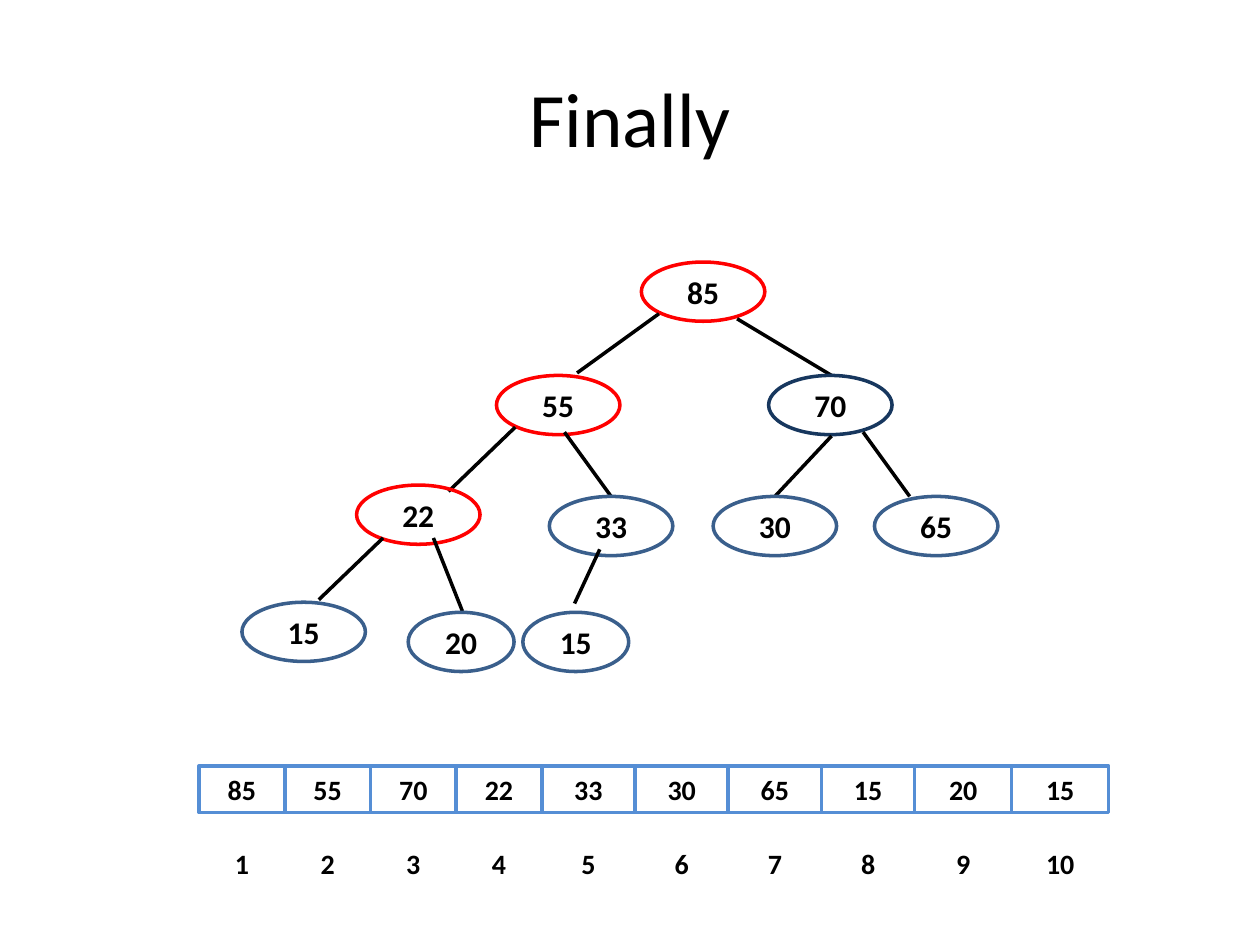
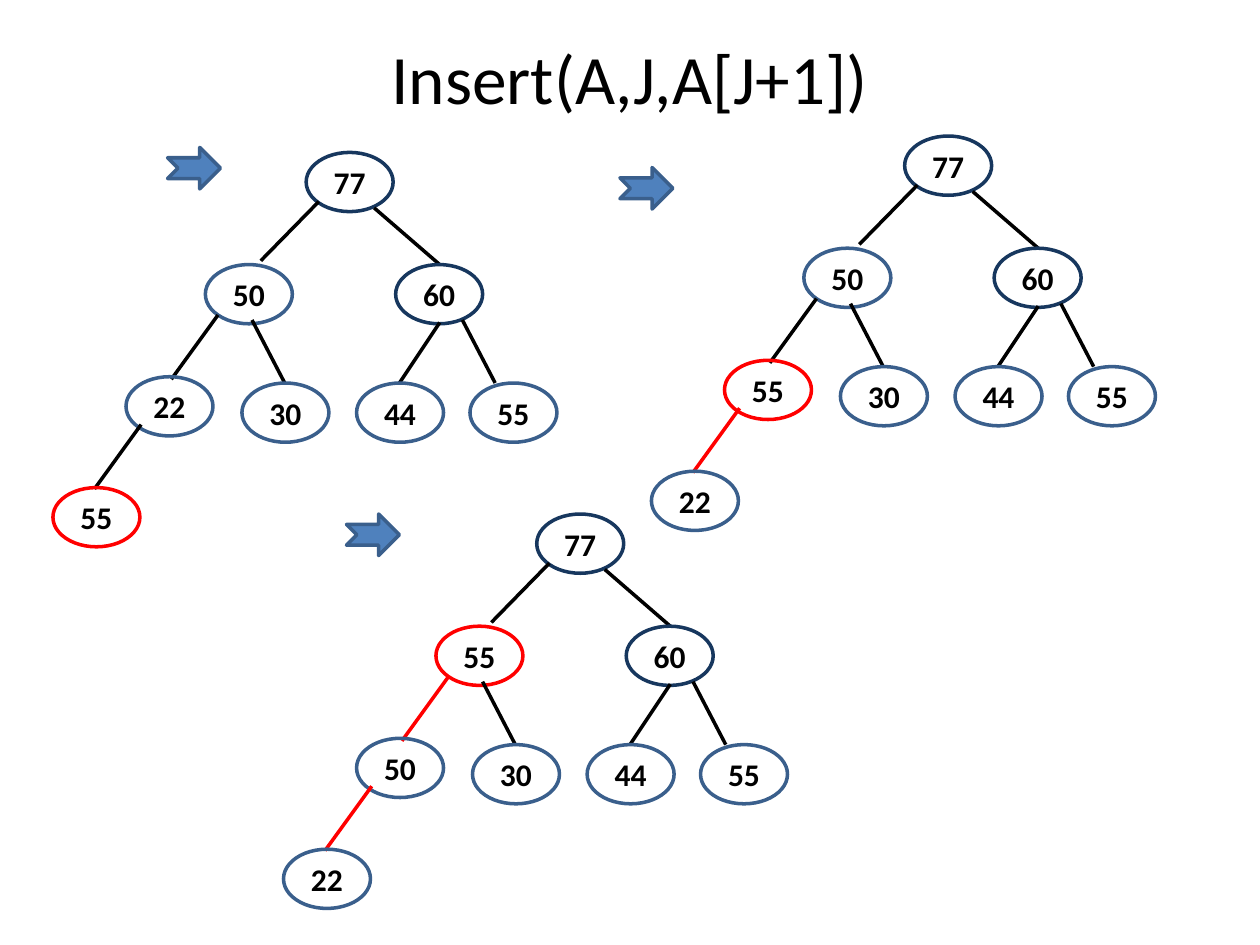
from itertools import accumulate

from lxml import etree
from pptx import Presentation
from pptx.dml.color import RGBColor
from pptx.enum import shapes, text
from pptx.oxml import ns
from pptx.util import Inches, Pt

FONT = "Calibri"
BLACK, WHITE, RED = "000000", "FFFFFF", "FF0000"
NAVY, STEEL, BLUE, SKY = "17375E", "3A5F8C", "4F81BD", "558ED5"
LINE_WIDTH = 2
NODE_HEIGHT = 0.47

# Each node: value, left, top, width, outline, edge from its parent.
FINAL_HEAP = [
    ("85", 3.17, 0, 0.98, RED, None),
    ("55", 2.02, 0.9, 0.98, RED, (3.31, 0.41, 2.66, 0.88)),
    ("70", 4.18, 0.9, 0.98, NAVY, (3.93, 0.45, 4.68, 0.9)),
    ("22", 0.91, 1.77, 0.98, RED, (2.17, 1.31, 1.64, 1.82)),
    ("33", 2.44, 1.86, 0.98, STEEL, (2.56, 1.35, 2.93, 1.86)),
    ("30", 3.74, 1.86, 0.98, STEEL, (4.68, 1.38, 4.23, 1.86)),
    ("65", 5.02, 1.86, 0.98, STEEL, (4.93, 1.35, 5.3, 1.86)),
    ("15", 0, 2.7, 0.98, STEEL, (1.12, 2.19, 0.61, 2.68)),
    ("20", 1.32, 2.78, 0.84, STEEL, (1.52, 2.19, 1.75, 2.77)),
    ("15", 2.23, 2.78, 0.84, STEEL, (2.84, 2.28, 2.64, 2.71)),
]
CELL_WIDTHS = [0.68] * 4 + [0.74] * 4 + [0.77] * 2

# Each place: left, top, outline, edge from its parent.
INSERT_PLACES = [
    (2.01, 0, NAVY, None),
    (1.21, 0.89, STEEL, (2.11, 0.39, 1.65, 0.86)),
    (2.72, 0.89, NAVY, (2.55, 0.44, 3.07, 0.89)),
    (0.58, 1.78, STEEL, (1.31, 1.29, 0.94, 1.8)),
    (1.5, 1.83, STEEL, (1.58, 1.33, 1.84, 1.83)),
    (2.41, 1.83, STEEL, (3.07, 1.35, 2.75, 1.83)),
    (3.31, 1.83, STEEL, (3.25, 1.33, 3.51, 1.83)),
    (0, 2.66, STEEL, (0.7, 2.16, 0.33, 2.67)),
]
# Each step: tree corner, arrow corner, values, inserted place, swapped edges.
INSERT_STEPS = [
    ((0.42, 1.21), (1.33, 1.17), "77 50 60 22 30 44 55 55", 7, ()),
    ((5.17, 1.08), (4.92, 1.33), "77 50 60 55 30 44 55 22", 3, (7,)),
    ((2.25, 4.08), (2.75, 4.08), "77 55 60 50 30 44 55 22", 1, (3, 7)),
]


def rgb(value):
    """Turn a hex string into a colour."""
    return RGBColor.from_string(value)


def write(shape, words, size, bold=True, anchor=text.MSO_ANCHOR.MIDDLE, inset=0):
    """Put one centred line of text into a shape."""
    frame = shape.text_frame
    frame.word_wrap = True
    frame.vertical_anchor = anchor
    frame.margin_left = frame.margin_right = 0
    frame.margin_top = frame.margin_bottom = Inches(inset)
    paragraph = frame.paragraphs[0]
    paragraph.alignment = text.PP_ALIGN.CENTER
    run = paragraph.add_run()
    run.text = words
    run.font.name, run.font.size, run.font.bold = FONT, Pt(size), bold
    run.font.color.rgb = rgb(BLACK)


def add_outline(slide, kind, left, top, width, height, line, fill=None):
    """Add a preset shape with a coloured outline."""
    shape = slide.shapes.add_shape(kind, *map(Inches, (left, top, width, height)))
    shape.shadow.inherit = False
    shape.line.color.rgb = rgb(line)
    shape.line.width = Pt(LINE_WIDTH)
    if fill:
        shape.fill.solid()
        shape.fill.fore_color.rgb = rgb(fill)
    else:
        shape.fill.background()
    return shape


def add_edge(slide, left, top, ends, colour):
    """Draw a tree edge with ends relative to the tree corner."""
    x1, y1, x2, y2 = ends
    points = (left + x1, top + y1, left + x2, top + y2)
    edge = slide.shapes.add_connector(
        shapes.MSO_CONNECTOR.STRAIGHT, *map(Inches, points))
    edge.line.color.rgb = rgb(colour)
    edge.line.width = Pt(LINE_WIDTH)
    etree.SubElement(edge._element.spPr, ns.qn("a:effectLst"))


def add_title(slide, words, height, size):
    """Add the slide title, centred across the slide."""
    title = slide.shapes.add_textbox(*map(Inches, (0.5, 0.3, 9, height)))
    write(title, words, size, bold=False)


def draw_tree(slide, left, top, nodes, red_edges=()):
    """Draw a heap as ellipses joined by edges."""
    for place, (value, x, y, width, outline, ends) in enumerate(nodes):
        if ends:
            add_edge(slide, left, top, ends, RED if place in red_edges else BLACK)
        node = add_outline(slide, shapes.MSO_SHAPE.OVAL,
                           left + x, top + y, width, NODE_HEIGHT, outline)
        write(node, value, 18)


def draw_cells(slide, left, top, values, line):
    """Draw one row of array cells."""
    offsets = accumulate(CELL_WIDTHS, initial=0)
    for value, offset, width in zip(values, offsets, CELL_WIDTHS):
        cell = add_outline(slide, shapes.MSO_SHAPE.RECTANGLE,
                           left + offset, top, width, 0.37, line)
        write(cell, value, 16, anchor=text.MSO_ANCHOR.TOP, inset=0.05)


def build_final_slide(slide):
    """Show the finished heap above its array."""
    add_title(slide, "Finally", 1.25, 44)
    draw_tree(slide, 1.92, 2.08, FINAL_HEAP)
    draw_cells(slide, 1.58, 6.08, [node[0] for node in FINAL_HEAP], SKY)
    draw_cells(slide, 1.58, 6.67, map(str, range(1, len(FINAL_HEAP) + 1)), WHITE)


def build_insert_slide(slide):
    """Show the inserted value rising through the heap."""
    add_title(slide, "Insert(A,J,A[J+1])", 0.62, 39.6)
    for corner, arrow_corner, values, inserted, swapped in INSERT_STEPS:
        nodes = [
            (value, x, y, 0.69, RED if place == inserted else outline, ends)
            for place, (value, (x, y, outline, ends))
            in enumerate(zip(values.split(), INSERT_PLACES))
        ]
        draw_tree(slide, *corner, nodes, swapped)
        add_outline(slide, shapes.MSO_SHAPE.NOTCHED_RIGHT_ARROW,
                    *arrow_corner, 0.42, 0.33, STEEL, fill=BLUE)


def main():
    """Build and save both slides."""
    deck = Presentation()
    deck.slide_width, deck.slide_height = Inches(10), Inches(7.5)
    for build in (build_final_slide, build_insert_slide):
        build(deck.slides.add_slide(deck.slide_layouts[6]))
    deck.save("out.pptx")


if __name__ == "__main__":
    main()
